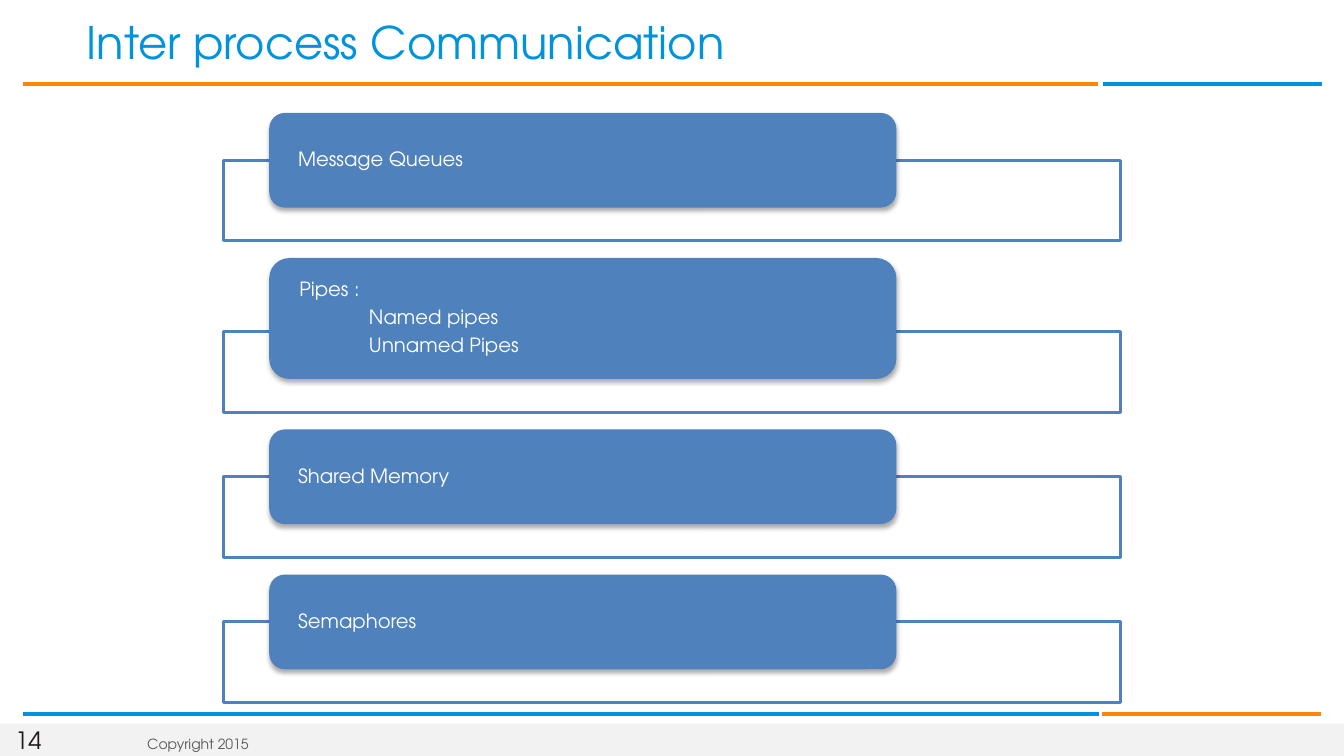
"""Build the inter process communication slide."""
from lxml.etree import SubElement
from pptx import Presentation
from pptx.dml.color import RGBColor
from pptx.enum.shapes import MSO_CONNECTOR as Connector, MSO_SHAPE as Shape
from pptx.enum.text import MSO_ANCHOR as Anchor, PP_ALIGN as Align
from pptx.oxml.ns import qn
from pptx.util import Inches, Pt

TITLE = "Inter process Communication"
PAGE_NUMBER = "14"
COPYRIGHT = "Copyright 2015"
MECHANISMS = [
    ("Message Queues", []),
    ("Pipes :", ["Named pipes", "Unnamed Pipes"]),
    ("Shared Memory", []),
    ("Semaphores", []),
]
RULES = [
    (0.23, 10.89, 0.83, "orange"),
    (10.94, 13.11, 0.83, "blue"),
    (0.23, 10.9, 7.08, "blue"),
    (10.93, 13.1, 7.08, "orange"),
]
THEME = {
    "font": "TeX Gyre Adventor",
    "colors": {"blue": "0093DD", "orange": "FF8500", "card": "4F81BD", "white": "FFFFFF",
               "footer": "F2F2F2", "number": "1F1A17", "copyright": "595959"},
    "sizes": {"title": 32, "card": 14, "number": 17, "copyright": 10},
}
FIRST_CARD_TOP = 1.12
CARD_LEFT, CARD_WIDTH = 2.67, 6.22
CARD_HEIGHT, LIST_CARD_HEIGHT = 0.94, 1.2
CARD_OVERLAP, ROW_GAP = 0.47, 0.17
FRAME_LEFT, FRAME_WIDTH, FRAME_HEIGHT = 2.22, 8.89, 0.8
SUBITEM_INDENT = 0.69


def color(name):
    return RGBColor.from_string(THEME["colors"][name])


def write(shape, lines, size, ink, insets=(0, 0, 0, 0), wrap=True, line_spacing=None, space_after=None):
    frame = shape.text_frame
    frame.word_wrap = wrap
    frame.vertical_anchor = Anchor.MIDDLE
    frame.margin_left, frame.margin_top, frame.margin_right, frame.margin_bottom = map(Inches, insets)
    for index, (text, indent) in enumerate(lines):
        paragraph = frame.paragraphs[0] if index == 0 else frame.add_paragraph()
        paragraph.text = text
        paragraph.alignment = Align.LEFT
        if indent:
            paragraph._p.get_or_add_pPr().set("marL", str(Inches(indent)))
        if line_spacing:
            paragraph.line_spacing = line_spacing
        if space_after:
            paragraph.space_after = Pt(space_after)
        paragraph.font.name = THEME["font"]
        paragraph.font.size = Pt(THEME["sizes"][size])
        paragraph.font.color.rgb = color(ink)


def add_label(slide, box, text, **text_format):
    write(slide.shapes.add_textbox(*map(Inches, box)), [(text, 0)], **text_format)


def add_block(slide, kind, box, fill, outline=None):
    shape = slide.shapes.add_shape(kind, *map(Inches, box))
    shape.shadow.inherit = False
    shape.fill.solid()
    shape.fill.fore_color.rgb = color(fill)
    if outline:
        shape.line.color.rgb = color(outline)
        shape.line.width = Pt(2)
    else:
        shape.line.fill.background()
    return shape


def add_shadow(shape):
    effects = shape._element.spPr.find(qn("a:effectLst"))
    shadow = SubElement(effects, qn("a:outerShdw"), blurRad=str(Pt(3.5)), dist=str(Pt(2.2)),
                        dir="5400000", rotWithShape="0")
    shade = SubElement(shadow, qn("a:srgbClr"), val="000000")
    SubElement(shade, qn("a:alpha"), val="32000")


def add_rule(slide, left, right, top, ink):
    rule = slide.shapes.add_connector(
        Connector.STRAIGHT, Inches(left), Inches(top), Inches(right), Inches(top))
    rule.line.color.rgb = color(ink)
    rule.line.width = Pt(3)
    SubElement(rule._element.spPr, qn("a:effectLst"))


def add_mechanisms(slide):
    top = FIRST_CARD_TOP
    for name, subitems in MECHANISMS:
        height = LIST_CARD_HEIGHT if subitems else CARD_HEIGHT
        frame_top = top + height - CARD_OVERLAP
        add_block(slide, Shape.RECTANGLE, (FRAME_LEFT, frame_top, FRAME_WIDTH, FRAME_HEIGHT),
                  "white", outline="card")
        card = add_block(slide, Shape.ROUNDED_RECTANGLE, (CARD_LEFT, top, CARD_WIDTH, height), "card")
        add_shadow(card)
        lines = [(name, 0)] + [(subitem, SUBITEM_INDENT) for subitem in subitems]
        write(card, lines, size="card", ink="white", insets=(0.24, 0, 0.24, 0),
              line_spacing=0.9, space_after=4.9)
        top = frame_top + FRAME_HEIGHT + ROW_GAP


def main():
    presentation = Presentation()
    presentation.slide_width, presentation.slide_height = Inches(13.33), Inches(7.5)
    slide = presentation.slides.add_slide(presentation.slide_layouts[6])
    add_block(slide, Shape.RECTANGLE, (0, 7.18, 13.33, 0.32), "footer")
    add_label(slide, (0.15, 7.2, 0.29, 0.29), PAGE_NUMBER, size="number", ink="number", wrap=False)
    for rule in RULES:
        add_rule(slide, *rule)
    add_label(slide, (1.33, 7.3, 3.81, 0.16), COPYRIGHT, size="copyright", ink="copyright",
              insets=(0.13, 0.07, 0.13, 0.07))
    add_label(slide, (0.73, 0.14, 12.6, 0.54), TITLE, size="title", ink="blue",
              insets=(0.13, 0.06, 0.07, 0.06))
    add_mechanisms(slide)
    presentation.save("out.pptx")


if __name__ == "__main__":
    main()
